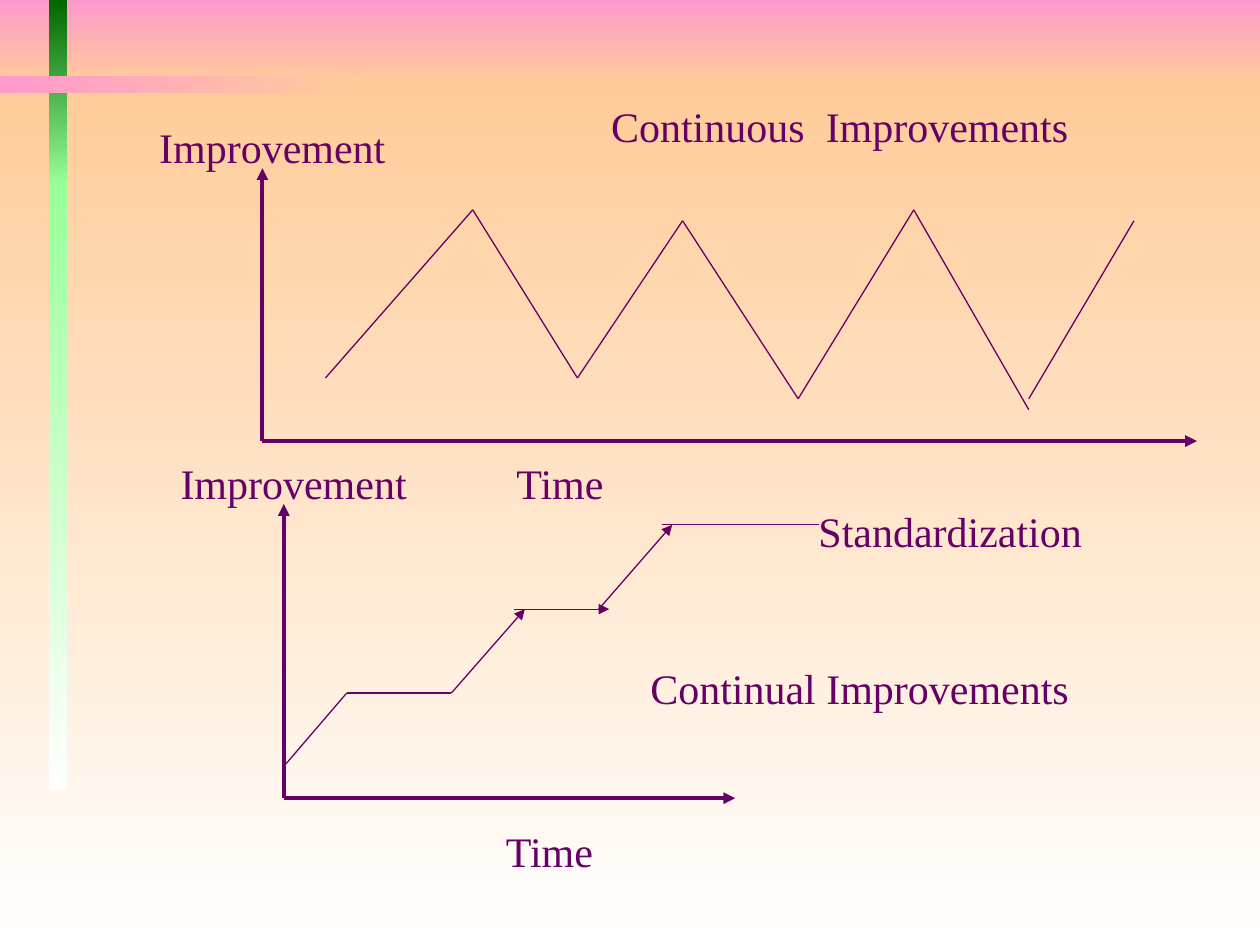
"""Build a slide contrasting continuous and continual improvement over time."""
from itertools import pairwise

from lxml import etree
from pptx import Presentation
from pptx.dml.color import RGBColor
from pptx.enum.shapes import MSO_CONNECTOR, MSO_SHAPE
from pptx.enum.text import MSO_AUTO_SIZE
from pptx.oxml.ns import qn
from pptx.util import Cm, Pt

STRAIGHT = MSO_CONNECTOR.STRAIGHT
RECT = MSO_SHAPE.RECTANGLE
FIT_SHAPE = MSO_AUTO_SIZE.SHAPE_TO_FIT_TEXT
DOWN, RIGHT = 270, 0

THEME = {
    "ink": RGBColor.from_string("660066"),
    "pink": RGBColor.from_string("FF99CC"),
    "peach": RGBColor.from_string("FFCC99"),
    "dark_green": RGBColor.from_string("006600"),
    "light_green": RGBColor.from_string("99FF99"),
    "white": RGBColor.from_string("FFFFFF"),
    "font": "Times New Roman",
    "size": Pt(24),
    "thin": Pt(0.75),
    "thick": Pt(2.25),
}


def add_line(start, end, width, arrow):
    line = s.shapes.add_connector(STRAIGHT, *map(Cm, start + end))
    line.line.color.rgb = THEME["ink"]
    line.line.width = THEME[width]
    if arrow:
        etree.SubElement(line.line._get_or_add_ln(), qn("a:tailEnd"), type="triangle")
    etree.SubElement(line._element.spPr, qn("a:effectLst"))


prs = Presentation()
prs.slide_width, prs.slide_height = Cm(25.4), Cm(19.05)
s = prs.slides.add_slide(prs.slide_layouts[6])

bands = [
    ((0, 0, 25.4, 1.7), "pink", "peach", DOWN),
    ((0, 1.7, 25.4, 17.35), "peach", "white", DOWN),
    ((0.99, 0, 0.36, 3.75), "dark_green", "light_green", DOWN),
    ((0.99, 3.71, 0.36, 12.22), "light_green", "white", DOWN),
    ((0, 1.53, 7.34, 0.35), "pink", "peach", RIGHT),
]
for box, first, last, angle in bands:
    sp = s.shapes.add_shape(RECT, *map(Cm, box))
    sp.shadow.inherit = False
    sp.line.fill.background()
    sp.fill.gradient()
    sp.fill.gradient_angle = angle
    for stop, name in zip(sp.fill.gradient_stops, (first, last)):
        stop.color.rgb = THEME[name]

zigzag = [(6.56, 7.62), (9.53, 4.23), (11.64, 7.62), (13.76, 4.45),
          (16.09, 8.04), (18.42, 4.23), (20.74, 8.26)]
for start, end in pairwise(zigzag):
    add_line(start, end, "thin", False)
add_line((20.74, 8.04), (22.86, 4.45), "thin", False)

steps = [
    ((5.72, 15.45), (6.99, 13.97), False),
    ((6.99, 13.97), (9.1, 13.97), False),
    ((9.1, 13.97), (10.58, 12.28), True),
    ((10.37, 12.28), (12.28, 12.28), True),
    ((12.07, 12.28), (13.55, 10.58), True),
    ((13.34, 10.58), (16.51, 10.58), False),
]
for start, end, arrow in steps:
    add_line(start, end, "thin", arrow)

axes = [((5.29, 8.89), 24.13, 3.39), ((5.72, 16.09), 14.82, 10.16)]
for (x, y), right, top in axes:
    add_line((x, y), (right, y), "thick", True)
    add_line((x, y), (x, top), "thick", True)

labels = [
    ("Continuous  Improvements", 12.07, 1.91, 9.75),
    ("Improvement", 2.96, 2.33, 5.1),
    ("Time", 10.16, 9.1, 2.3),
    ("Improvement", 3.39, 9.1, 5.1),
    ("Standardization", 16.25, 10.06, 5.85),
    ("Continual Improvements", 12.86, 13.24, 9),
    ("Time", 9.95, 16.51, 2.3),
]
for text, left, top, width in labels:
    tf = s.shapes.add_textbox(Cm(left), Cm(top), Cm(width), Cm(1.27)).text_frame
    tf.word_wrap = False
    tf.auto_size = FIT_SHAPE
    r = tf.paragraphs[0].add_run()
    r.text = text
    for key, value in {"name": THEME["font"], "size": THEME["size"]}.items():
        setattr(r.font, key, value)
    r.font.color.rgb = THEME["ink"]

prs.save("out.pptx")
